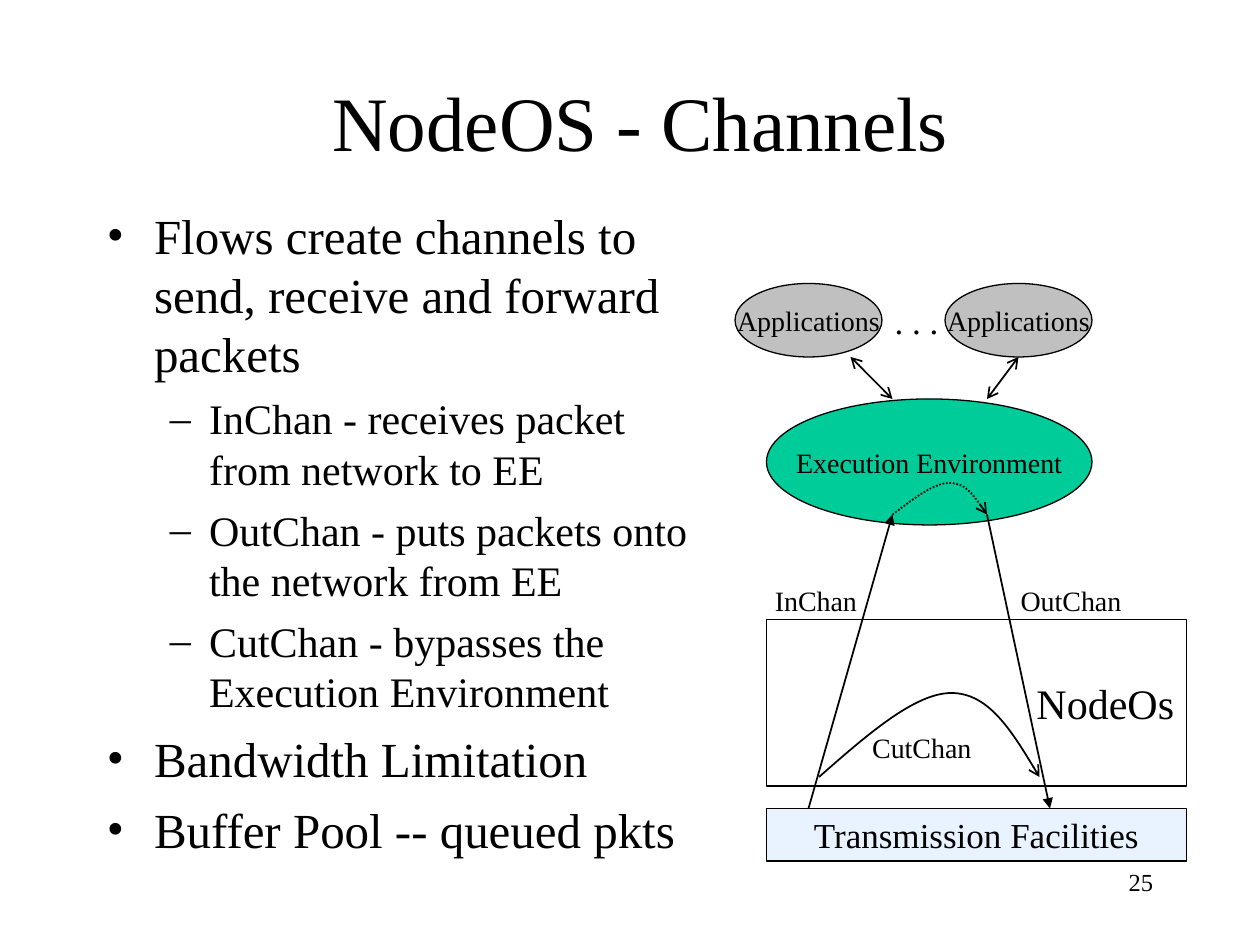
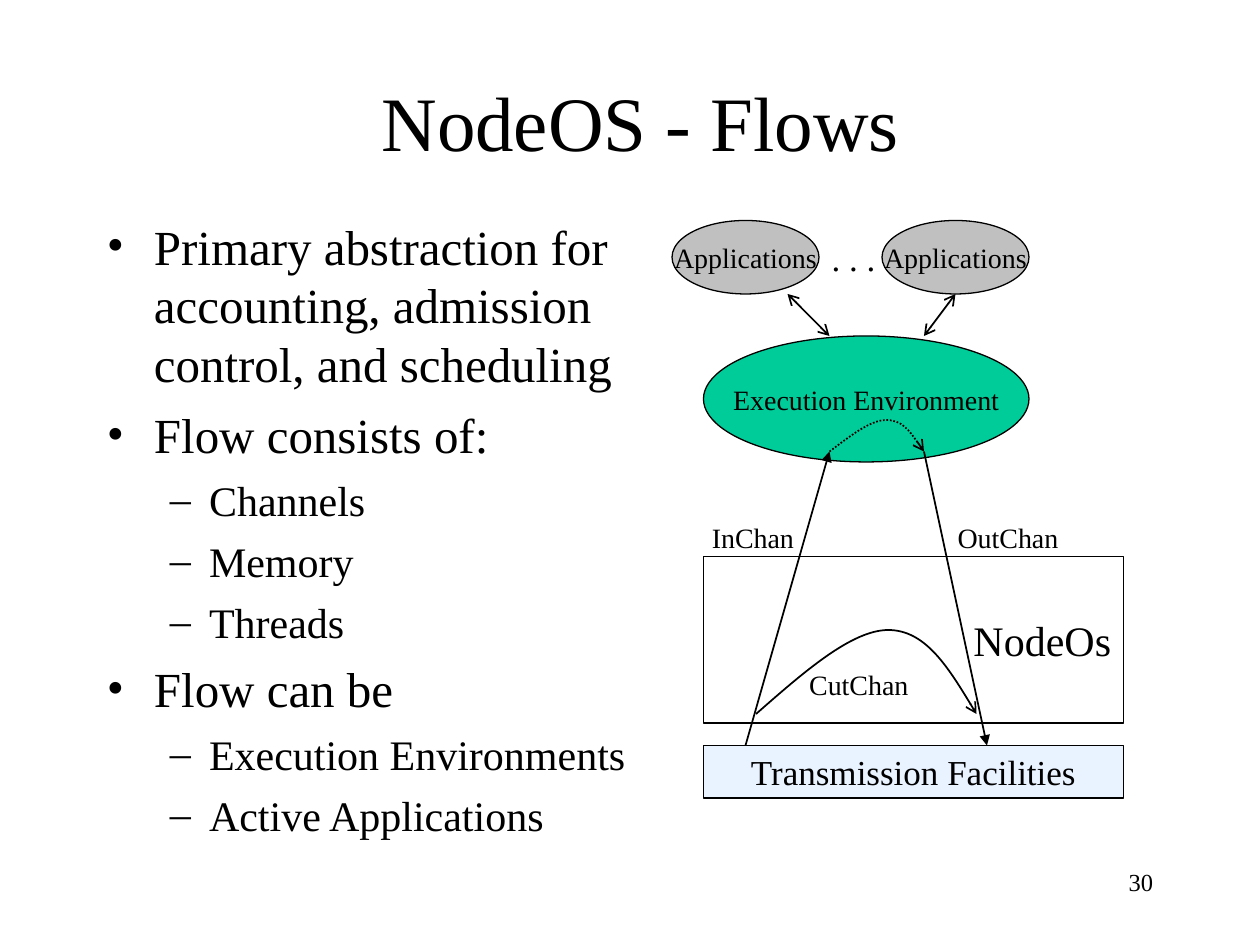
from dataclasses import dataclass

from lxml import etree
from pptx import Presentation
from pptx.dml.color import RGBColor
from pptx.enum import dml, shapes, text
from pptx.oxml.ns import qn
from pptx.util import Cm, Length, Pt

BLACK = RGBColor(0x00, 0x00, 0x00)
GREEN = RGBColor(0x00, 0xCC, 0x99)
GRAY = RGBColor(0xC0, 0xC0, 0xC0)
PALE_BLUE = RGBColor(0xE9, 0xF2, 0xFF)
FONT = "Times New Roman"
ALIGN = text.PP_ALIGN
OVAL = shapes.MSO_SHAPE.OVAL
RECTANGLE = shapes.MSO_SHAPE.RECTANGLE


@dataclass(frozen=True)
class BulletStyle:
    char: str
    size: int
    before: int
    left: Length
    hanging: Length


@dataclass(frozen=True)
class Node:
    label: str
    kind: shapes.MSO_SHAPE
    box: tuple
    size: int
    fill: RGBColor | None
    border: float = 1
    align: text.PP_ALIGN = ALIGN.CENTER


@dataclass(frozen=True)
class Label:
    label: str
    box: tuple
    size: int = 16
    wrap: bool = False


@dataclass(frozen=True)
class Arrow:
    start: tuple
    end: tuple
    tail: str
    head: str | None = None


@dataclass(frozen=True)
class Curve:
    points: tuple  # start, then two controls and an end for each segment
    dotted: bool = False


@dataclass(frozen=True)
class Page:
    title: str
    number: int
    body_box: tuple
    bullets: tuple  # (level, wording)
    origin: tuple  # top left of the node diagram


BULLETS = (
    BulletStyle("•", 28, 7, Cm(0.95), Cm(0.95)),
    BulletStyle("–", 24, 6, Cm(2.06), Cm(0.79)),
)

# The diagram, in grid units from its origin
NODES = (
    Node("NodeOs", RECTANGLE, (3, 32, 40, 15.84), 24, None, align=ALIGN.RIGHT),
    Node("Execution Environment", OVAL, (3, 11, 31, 12), 16, GREEN, 0.75),
    Node("Transmission Facilities", RECTANGLE, (3, 50, 40, 5), 20, PALE_BLUE),
    *(Node("Applications", OVAL, (x, 0, 14, 7), 16, GRAY, 0.75) for x in (0, 20)),
)
ARROWS = (
    Arrow((7, 50), (15, 22), "triangle"),
    Arrow((24, 22), (30, 50), "triangle"),
    Arrow((11, 7), (15, 11), "arrow", "arrow"),
    Arrow((27, 7), (24, 11), "arrow", "arrow"),
)
CURVES = (
    Curve(((15, 22), (17, 20.5), (18.9, 19), (20.4, 19),
           (21.9, 19), (23, 20.5), (24, 22)), dotted=True),
    Curve(((8, 47), (12.56, 43), (17.12, 39), (20.6, 39),
           (24.08, 39), (26.6, 43), (29, 47))),
)
LABELS = (
    Label("CutChan", (11.84, 42, 11.9, 4.32)),
    Label("OutChan", (26, 28, 12, 4.32)),
    Label("InChan", (2.6, 28, 10.2, 4.32)),
    Label(". . .", (14, -1, 6.6, 9.12), 20, wrap=True),
)

PAGES = (
    Page("NodeOS - Channels", 25, (9, 19, 58, 64), (
        (0, "Flows create channels to send, receive and forward packets"),
        (1, "InChan - receives packet from network to EE"),
        (1, "OutChan - puts packets onto the network from EE"),
        (1, "CutChan - bypasses the Execution Environment"),
        (0, "Bandwidth Limitation"),
        (0, "Buffer Pool -- queued pkts"),
    ), (70, 27)),
    Page("NodeOS - Flows", 30, (9, 20, 60, 61), (
        (0, "Primary abstraction for accounting, admission control, and scheduling"),
        (0, "Flow consists of:"),
        (1, "Channels"),
        (1, "Memory"),
        (1, "Threads"),
        (0, "Flow can be"),
        (1, "Execution Environments"),
        (1, "Active Applications"),
    ), (64, 21)),
)


def grid(*units: float) -> list[Length]:
    """Turn grid units, twelve to 2.54 cm, into lengths."""
    return [Cm(2.54 * unit / 12) for unit in units]


def place(origin: tuple, box: tuple) -> list[Length]:
    return grid(origin[0] + box[0], origin[1] + box[1], *box[2:])


def style_paragraph(paragraph, size: int, align: text.PP_ALIGN) -> None:
    paragraph.alignment = align
    for run in paragraph.runs:
        run.font.name = FONT
        run.font.size = Pt(size)
        run.font.color.rgb = BLACK


def write(frame, wording: str, size: int, align=ALIGN.CENTER,
          wrap: bool = True, anchor=text.MSO_ANCHOR.MIDDLE) -> None:
    frame.word_wrap = wrap
    frame.vertical_anchor = anchor
    frame.text = wording
    style_paragraph(frame.paragraphs[0], size, align)


def style_line(shape, width: float = 1) -> None:
    shape.line.color.rgb = BLACK
    shape.line.width = Pt(width)


def add_arrowheads(shape, tail: str, head: str | None = None) -> None:
    line = shape.element.spPr.find(qn("a:ln"))
    for tag, kind in (("a:headEnd", head), ("a:tailEnd", tail)):
        if kind:
            etree.SubElement(line, qn(tag), type=kind)


def add_bullets(slide, page: Page) -> None:
    frame = slide.shapes.add_textbox(*grid(*page.body_box)).text_frame
    frame.word_wrap = True
    frame.text = "\n".join(wording for _, wording in page.bullets)
    for index, (level, _) in enumerate(page.bullets):
        style, paragraph = BULLETS[level], frame.paragraphs[index]
        paragraph.level = level
        props = paragraph._p.get_or_add_pPr()
        props.set("marL", str(style.left))
        props.set("indent", str(-style.hanging))
        color = etree.SubElement(props, qn("a:buClr"))
        etree.SubElement(color, qn("a:srgbClr"), val=str(BLACK))
        etree.SubElement(props, qn("a:buFont"), typeface=FONT)
        etree.SubElement(props, qn("a:buChar"), char=style.char)
        if index:
            paragraph.space_before = Pt(style.before)
        style_paragraph(paragraph, style.size, ALIGN.LEFT)


def add_node(slide, node: Node, origin: tuple) -> None:
    shape = slide.shapes.add_shape(node.kind, *place(origin, node.box))
    shape.shadow.inherit = False
    if node.fill is None:
        shape.fill.background()
    else:
        shape.fill.solid()
        shape.fill.fore_color.rgb = node.fill
    style_line(shape, node.border)
    write(shape.text_frame, node.label, node.size, node.align, wrap=False)


def add_arrow(slide, arrow: Arrow, origin: tuple) -> None:
    connector = slide.shapes.add_connector(
        shapes.MSO_CONNECTOR.STRAIGHT,
        *place(origin, arrow.start), *place(origin, arrow.end))
    style_line(connector)
    add_arrowheads(connector, arrow.tail, arrow.head)
    etree.SubElement(connector.element.spPr, qn("a:effectLst"))


def add_curve(slide, curve: Curve, origin: tuple) -> None:
    start, *rest = [place(origin, point) for point in curve.points]
    builder = slide.shapes.build_freeform(*start)
    builder.add_line_segments(rest, close=False)
    shape = builder.convert_to_shape()
    # Join each three straight segments into one Bézier segment
    segments = list(shape.element.iter(qn("a:lnTo")))
    for first in range(0, len(segments), 3):
        bezier = etree.Element(qn("a:cubicBezTo"))
        segments[first].addprevious(bezier)
        for segment in segments[first:first + 3]:
            bezier.append(segment[0])
            segment.getparent().remove(segment)
    shape.shadow.inherit = False
    shape.fill.background()
    style_line(shape)
    if curve.dotted:
        shape.line.dash_style = dml.MSO_LINE.ROUND_DOT
    add_arrowheads(shape, "arrow")


def add_label(slide, label: Label, origin: tuple) -> None:
    frame = slide.shapes.add_textbox(*place(origin, label.box)).text_frame
    write(frame, label.label, label.size, wrap=label.wrap)


def add_diagram(slide, origin: tuple) -> None:
    for parts, draw in ((NODES, add_node), (ARROWS, add_arrow),
                        (CURVES, add_curve), (LABELS, add_label)):
        for part in parts:
            draw(slide, part, origin)


def add_page(deck, page: Page) -> None:
    slide = deck.slides.add_slide(deck.slide_layouts.get_by_name("Title Only"))
    # Title
    title = slide.shapes.title
    title.left, title.top, title.width, title.height = grid(10, 4, 102, 15)
    write(title.text_frame, page.title, 44)
    # Content
    add_bullets(slide, page)
    add_diagram(slide, page.origin)
    # Page number
    footer = slide.shapes.add_textbox(*grid(86, 82, 25, 6))
    write(footer.text_frame, str(page.number), 14, ALIGN.RIGHT,
          anchor=text.MSO_ANCHOR.TOP)


def main() -> None:
    deck = Presentation()
    deck.slide_width, deck.slide_height = Cm(25.4), Cm(19.05)
    for page in PAGES:
        add_page(deck, page)
    deck.save("out.pptx")


if __name__ == "__main__":
    main()
